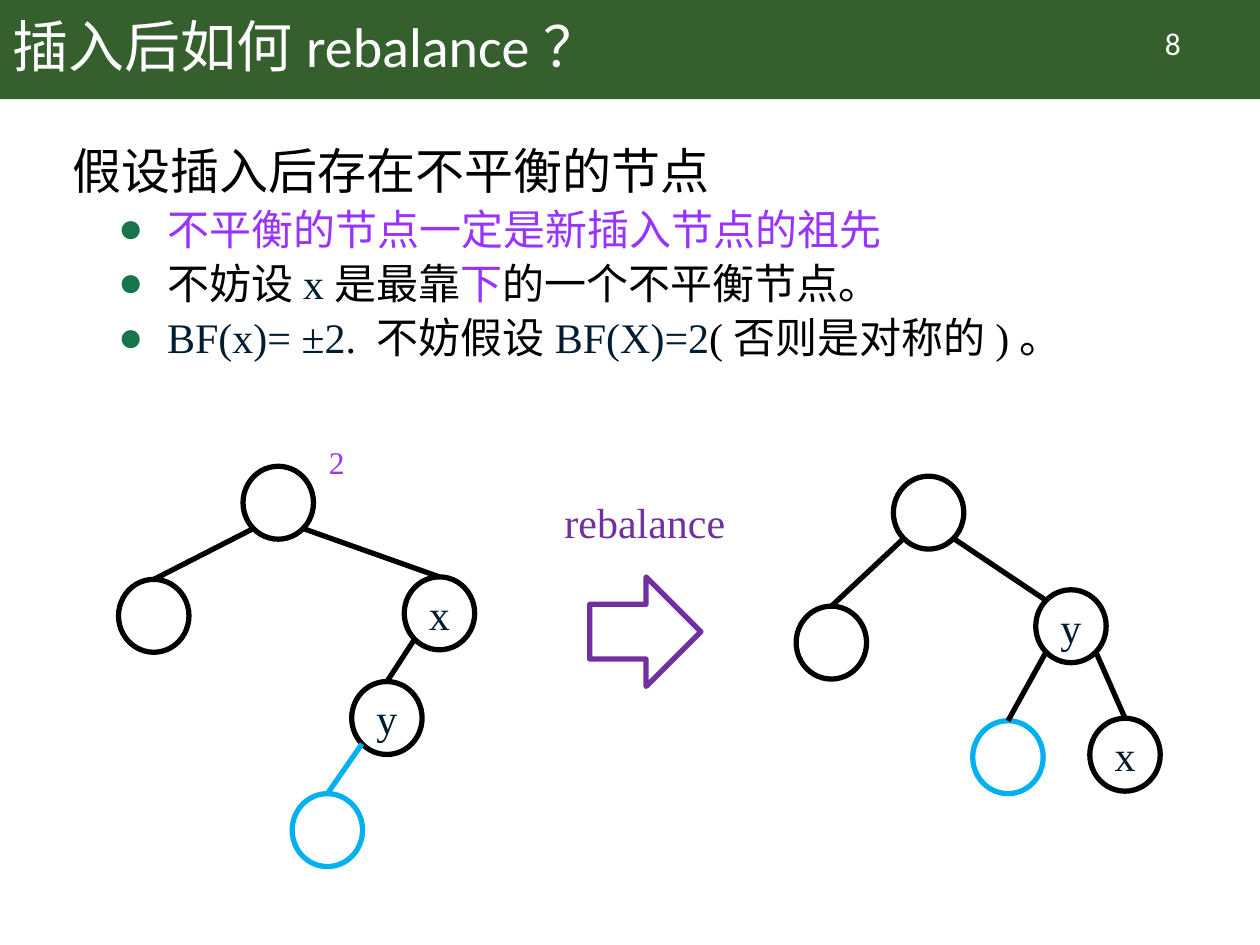
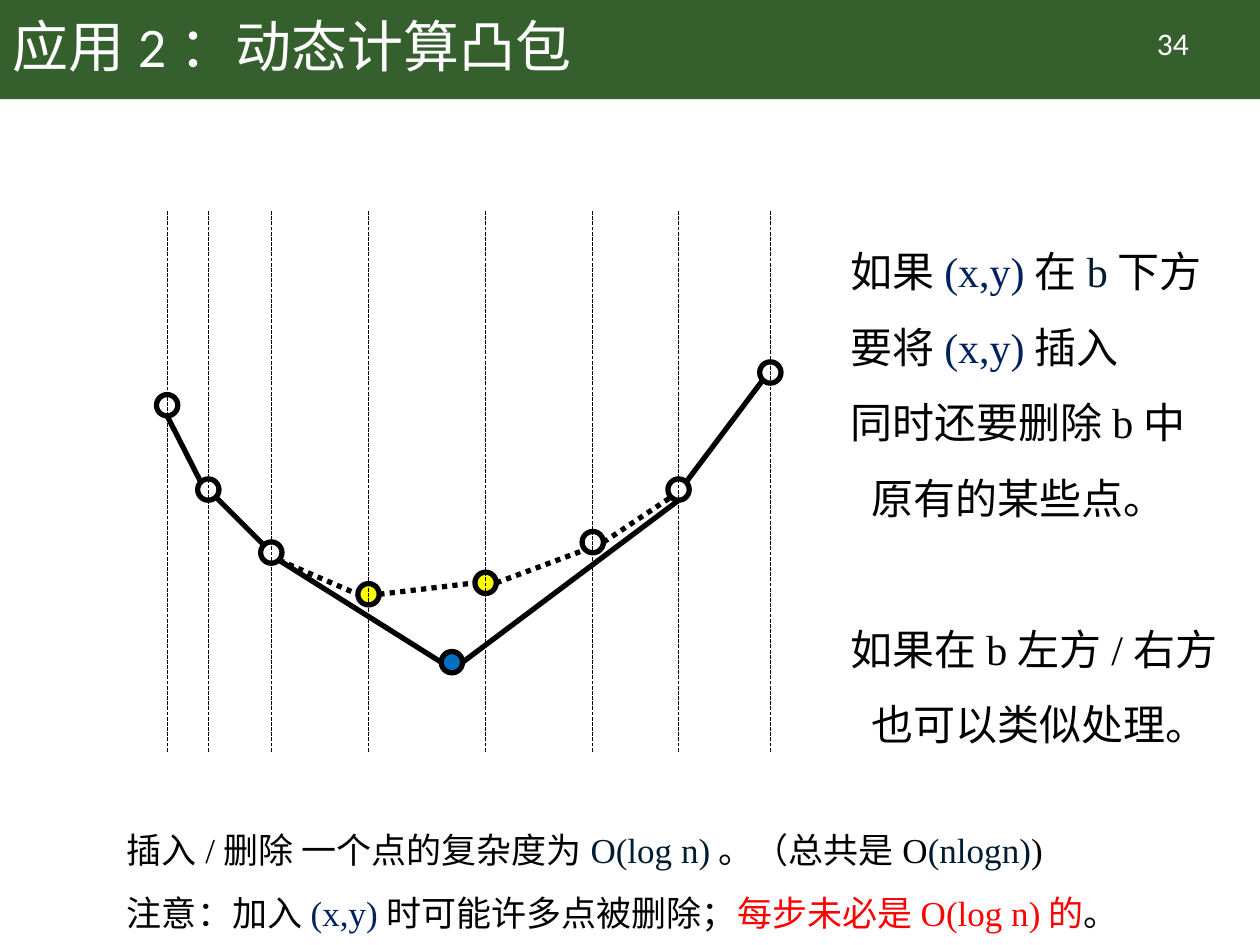
from lxml.etree import SubElement
from pptx import Presentation
from pptx.dml.color import RGBColor
from pptx.enum.dml import MSO_LINE_DASH_STYLE as Dash
from pptx.enum.shapes import MSO_CONNECTOR as Connector
from pptx.enum.shapes import MSO_SHAPE as Shape
from pptx.enum.text import MSO_ANCHOR as Anchor
from pptx.enum.text import PP_ALIGN as Align
from pptx.oxml.ns import qn
from pptx.util import Cm, Pt

BLACK = RGBColor(0x00, 0x00, 0x00)
WHITE = RGBColor(0xFF, 0xFF, 0xFF)
BAND_GREEN = RGBColor(0x36, 0x5F, 0x2E)
BULLET_GREEN = RGBColor(0x16, 0x75, 0x4D)
INK = RGBColor(0x00, 0x1C, 0x30)
NAVY = RGBColor(0x00, 0x20, 0x60)
VIOLET = RGBColor(0x99, 0x33, 0xFF)
PURPLE = RGBColor(0x70, 0x30, 0xA0)
SKY = RGBColor(0x00, 0xB0, 0xF0)
BLUE = RGBColor(0x00, 0x70, 0xC0)
YELLOW = RGBColor(0xFF, 0xFF, 0x00)
RED = RGBColor(0xFF, 0x00, 0x00)

HEAD_FONT = "Calibri"
BODY_FONT = "Times New Roman"
WIDTH, HEIGHT, BAND_HEIGHT = 25.4, 19.05, 2.0
NODE_SIZE = (1.42, 1.47)
DOT = 0.43
DIAGONAL = 0.354
RIM = {
    "N": (0, -0.5), "S": (0, 0.5), "W": (-0.5, 0), "E": (0.5, 0),
    "NW": (-DIAGONAL, -DIAGONAL), "NE": (DIAGONAL, -DIAGONAL),
    "SW": (-DIAGONAL, DIAGONAL), "SE": (DIAGONAL, DIAGONAL),
}


def rim_point(circle, side):
    """Return the point on a circle's rim at a compass side."""
    across, down = RIM[side]
    return (int(circle.left + circle.width * (0.5 + across)),
            int(circle.top + circle.height * (0.5 + down)))


class Deck:
    """Hold the shared style and the slide being drawn."""

    def __init__(self):
        """Open an empty presentation of the right size."""
        self.presentation = Presentation()
        self.presentation.slide_width = Cm(WIDTH)
        self.presentation.slide_height = Cm(HEIGHT)
        self.slide = None

    def new_slide(self, title, number):
        """Start a slide with its band, page number and title."""
        self.slide = self.presentation.slides.add_slide(self.presentation.slide_layouts[6])
        self.shape(Shape.RECTANGLE, 0, 0, WIDTH, BAND_HEIGHT, fill=BAND_GREEN)
        page = self.text_box(22.12, 0.36, 3.05, 1.02)
        self.paragraph(page, [(number, WHITE)], 18, HEAD_FONT).alignment = Align.CENTER
        heading = self.text_box(0, 0, 21.89, BAND_HEIGHT)
        heading.vertical_anchor = Anchor.MIDDLE
        self.paragraph(heading, [(title, WHITE)], 32, HEAD_FONT, spacing=0.9)

    def shape(self, preset, left, top, width, height, fill=None, line=None):
        """Draw a preset shape, unfilled or unlined where no colour is given."""
        drawn = self.slide.shapes.add_shape(preset, Cm(left), Cm(top), Cm(width), Cm(height))
        drawn.shadow.inherit = False
        if fill is None:
            drawn.fill.background()
        else:
            drawn.fill.solid()
            drawn.fill.fore_color.rgb = fill
        if line is None:
            drawn.line.fill.background()
        else:
            drawn.line.color.rgb = line
            drawn.line.width = Pt(3)
        return drawn

    def node(self, left, top, label="", color=BLACK):
        """Draw a tree node with an optional letter."""
        circle = self.shape(Shape.OVAL, left, top, *NODE_SIZE, line=color)
        if label:
            frame = circle.text_frame
            frame.margin_left = frame.margin_right = frame.margin_top = frame.margin_bottom = 0
            frame.vertical_anchor = Anchor.MIDDLE
            self.paragraph(frame, [(label, INK)], 24).alignment = Align.CENTER
        return circle

    def dot(self, center_x, center_y, fill=WHITE):
        """Draw a hull point around its centre."""
        return self.shape(Shape.OVAL, center_x - DOT / 2, center_y - DOT / 2, DOT, DOT,
                          fill, BLACK)

    def line(self, start, end, color=BLACK, weight=3, dash=None):
        """Draw a straight line between two points."""
        drawn = self.slide.shapes.add_connector(Connector.STRAIGHT, *start, *end)
        drawn.line.color.rgb = color
        drawn.line.width = Pt(weight)
        if dash is not None:
            drawn.line.dash_style = dash
        SubElement(drawn._element.spPr, qn("a:effectLst"))
        return drawn

    def edge(self, start, start_side, end, end_side, color=BLACK, dash=None):
        """Link the rims of two circles, glued where the line meets a top."""
        drawn = self.line(rim_point(start, start_side), rim_point(end, end_side), color,
                          dash=dash)
        if end_side == "N":
            drawn.end_connect(end, 0)

    def text_box(self, left, top, width, height):
        """Add a wrapping text box and return its frame."""
        box = self.slide.shapes.add_textbox(Cm(left), Cm(top), Cm(width), Cm(height))
        box.text_frame.word_wrap = True
        return box.text_frame

    def paragraph(self, frame, runs, size, font=BODY_FONT, spacing=None, before=0,
                  indent=0, bullet=False):
        """Write coloured runs as the next paragraph of a frame."""
        first = frame.paragraphs[0]
        paragraph = frame.add_paragraph() if first.runs else first
        properties = paragraph._p.get_or_add_pPr()
        if indent:
            properties.set("marL", str(Cm(indent)))
        if bullet:
            properties.set("indent", str(-Cm(0.99)))
            color = SubElement(properties, qn("a:buClr"))
            SubElement(color, qn("a:srgbClr"), val=str(BULLET_GREEN))
            SubElement(properties, qn("a:buFont"), typeface=BODY_FONT)
            SubElement(properties, qn("a:buChar"), char="●")
        if spacing:
            paragraph.line_spacing = spacing
        if before:
            paragraph.space_before = Pt(before)
        paragraph.font.name = font
        paragraph.font.size = Pt(size)
        base = runs[0][1]
        paragraph.font.color.rgb = base
        for text, color in runs:
            run = paragraph.add_run()
            run.text = text
            if color != base:
                run.font.color.rgb = color
        return paragraph


def rebalance_slide(deck):
    """Draw the unbalanced tree and the tree after rebalancing."""
    deck.new_slide("插入后如何rebalance？", "8")

    body = deck.text_box(1.22, 2.84, 23.62, 5.59)
    deck.paragraph(body, [("假设插入后存在不平衡的节点", BLACK)], 28, spacing=0.9)
    facts = [
        [("不平衡的节点一定是新插入节点的祖先", VIOLET)],
        [("不妨设", BLACK), ("x", INK), ("是最靠", BLACK), ("下", VIOLET),
         ("的一个不平衡节点。", BLACK)],
        [("BF(x)= ±2", INK), (". 不妨假设", BLACK), ("BF(X)=2", INK),
         ("(否则是对称的)。", BLACK)],
    ]
    for fact in facts:
        deck.paragraph(body, fact, 24, spacing=0.9, before=5, indent=1.9, bullet=True)

    root = deck.node(4.9, 9.4)
    y = deck.node(7.09, 13.74, "y")
    sibling = deck.node(2.39, 11.68)
    x = deck.node(8.15, 11.63, "x")
    inserted = deck.node(5.89, 16.0, color=SKY)
    deck.edge(root, "SW", sibling, "N")
    deck.edge(root, "SE", x, "N")
    deck.edge(x, "SW", y, "N")
    deck.edge(y, "SW", inserted, "N", SKY)
    deck.paragraph(deck.text_box(6.38, 8.81, 1.14, 1.02), [("2", VIOLET)], 18)

    deck.paragraph(deck.text_box(11.13, 9.88, 5.23, 1.27), [("rebalance", PURPLE)], 24)
    deck.shape(Shape.RIGHT_ARROW, 11.89, 11.63, 2.24, 2.21, line=PURPLE)

    root = deck.node(18.01, 9.6)
    y = deck.node(20.88, 11.89, "y")
    sibling = deck.node(16.05, 12.22)
    x = deck.node(21.97, 14.48, "x")
    inserted = deck.node(19.61, 14.53, color=SKY)
    deck.edge(root, "SW", sibling, "N")
    deck.edge(root, "SE", y, "NW")
    deck.edge(y, "SW", inserted, "N")
    deck.edge(y, "SE", x, "N")


def hull_slide(deck):
    """Draw a lower hull that takes in a new point."""
    deck.new_slide("应用2：动态计算凸包", "34")

    hull = [
        (3.37, 8.17, WHITE), (4.2, 9.87, WHITE), (5.47, 11.14, WHITE),
        (7.43, 11.98, YELLOW), (9.79, 11.75, YELLOW), (11.95, 10.93, WHITE),
        (13.68, 9.87, WHITE), (15.53, 7.51, WHITE),
    ]
    dots = [deck.dot(*point) for point in hull]
    added = deck.dot(9.11, 13.35, BLUE)

    sides = [("S", "NW"), ("SE", "NW"), ("SE", "W"), ("E", "W"), ("E", "SW"),
             ("E", "SW"), ("NE", "SW")]
    replaced = range(2, 6)
    for index, (start_side, end_side) in enumerate(sides):
        deck.edge(dots[index], start_side, dots[index + 1], end_side,
                  dash=Dash.ROUND_DOT if index in replaced else None)
    deck.edge(dots[2], "SE", added, "W")
    deck.edge(added, "E", dots[6], "S")

    for center_x, _, _ in hull:
        deck.line((Cm(center_x), Cm(15.15)), (Cm(center_x), Cm(4.24)), weight=0.75,
                  dash=Dash.SQUARE_DOT)

    cases = deck.text_box(16.89, 4.32, 8.64, 10.85)
    steps = [
        ([("如果", BLACK), ("(x,y)", NAVY), ("在", BLACK), ("b", INK), ("下方", BLACK)], 0, 0),
        ([("要将", BLACK), ("(x,y)", NAVY), ("插入", BLACK)], 0, 0),
        ([("同时还要删除b中", BLACK)], 0, 0),
        ([("原有的某些点。", BLACK)], 0, 0.42),
        ([("如果在b左方/右方", BLACK)], 43, 0),
        ([("也可以类似处理。", BLACK)], 0, 0.42),
    ]
    for runs, before, indent in steps:
        deck.paragraph(cases, runs, 24, spacing=1.5, before=before, indent=indent)

    cost = deck.text_box(2.31, 16.15, 20.78, 2.67)
    notes = [
        [("插入/删除 一个点的复杂度为", BLACK), ("O(log n)", INK), ("。（总共是O", BLACK),
         ("(nlogn)", INK), (")", BLACK)],
        [("注意：加入", BLACK), ("(x,y)", NAVY), ("时可能许多点被删除；", BLACK),
         ("每步未必是O(log n)的", RED), ("。", BLACK)],
    ]
    for runs in notes:
        deck.paragraph(cost, runs, 20, spacing=1.5)


def main():
    """Build both slides and save them."""
    deck = Deck()
    rebalance_slide(deck)
    hull_slide(deck)
    deck.presentation.save("out.pptx")


if __name__ == "__main__":
    main()
